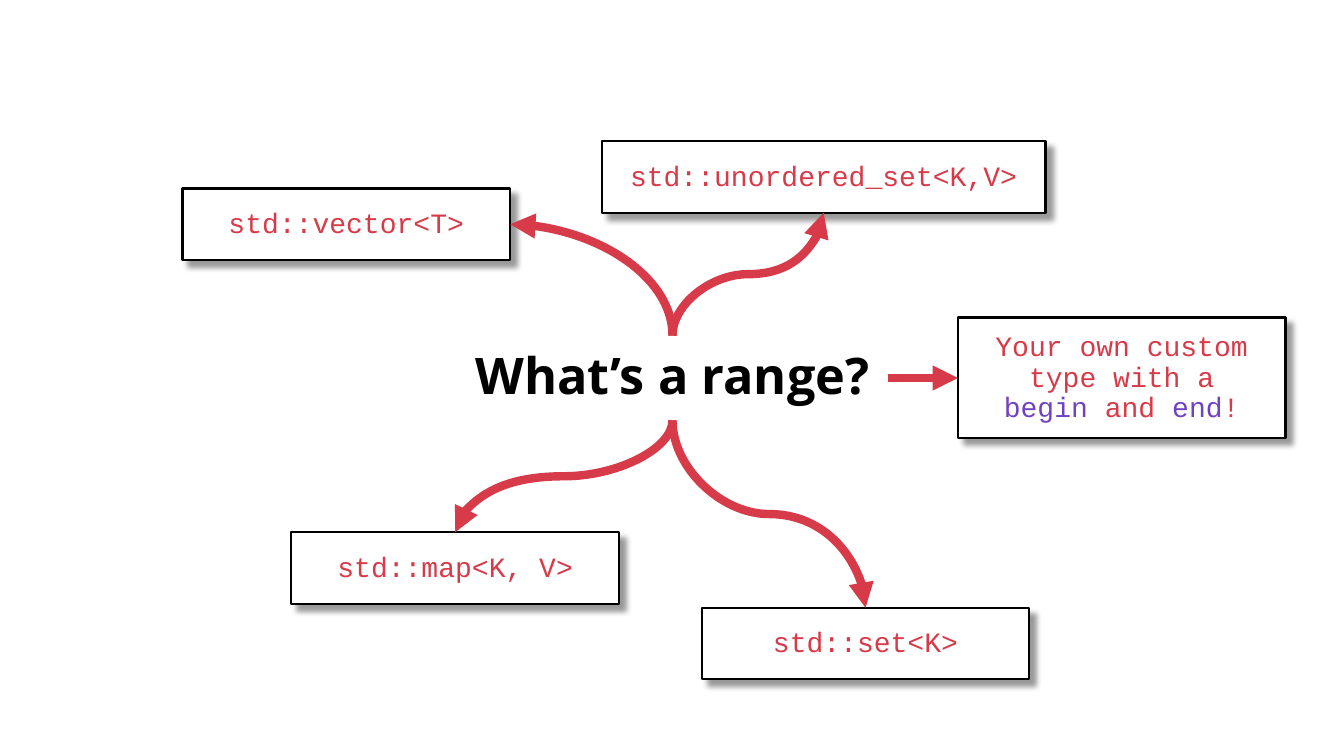
from lxml.etree import SubElement
from pptx import Presentation
from pptx.dml.color import RGBColor
from pptx.enum.shapes import MSO_CONNECTOR, MSO_SHAPE
from pptx.enum.text import MSO_ANCHOR, PP_ALIGN
from pptx.oxml import parse_xml
from pptx.oxml.ns import nsdecls, qn
from pptx.util import Pt

PX = 9144  # 100 px to the inch
BLACK = RGBColor(0x00, 0x00, 0x00)
WHITE = RGBColor(0xFF, 0xFF, 0xFF)
RED = RGBColor(0xD7, 0x3A, 0x48)
PURPLE = RGBColor(0x6F, 0x42, 0xC1)
TOP, LEFT, BOTTOM, RIGHT = range(4)

TITLE = "What’s a range?"
TITLE_BOX = (43, 333, 1248, 84)
# box, text runs, title side the arrow leaves, box side it reaches
TYPES = [
    ((181, 187, 325, 71), [("std::vector<T>", RED)], TOP, RIGHT),
    ((289, 528, 325, 71), [("std::map<K, V>", RED)], BOTTOM, TOP),
    ((696, 603, 325, 71), [("std::set<K>", RED)], BOTTOM, TOP),
    ((597, 140, 440, 71), [("std::unordered_set<K,V>", RED)], TOP, BOTTOM),
]
CUSTOM_BOX = (950, 315, 325, 120)
CUSTOM_RUNS = [("Your own custom type with a ", RED), ("begin", PURPLE),
               (" and ", RED), ("end", PURPLE), ("!", RED)]
CUSTOM_ARROW_X = 881

SHADOW = f"""<a:effectLst {nsdecls('a')}>
<a:outerShdw blurRad="{Pt(4)}" dist="{Pt(6)}" dir="2700000" algn="tl" rotWithShape="0">
<a:srgbClr val="{BLACK}"><a:alpha val="40000"/></a:srgbClr>
</a:outerShdw></a:effectLst>"""


def emu(*lengths):
    return [round(v * PX) for v in lengths]


def side_point(box, side):
    x, y, w, h = box
    return {TOP: (x + w / 2, y), LEFT: (x, y + h / 2),
            BOTTOM: (x + w / 2, y + h), RIGHT: (x + w, y + h / 2)}[side]


def write(sp, runs, font, size, bold=False):
    tf = sp.text_frame
    tf.word_wrap = True
    tf.vertical_anchor = MSO_ANCHOR.MIDDLE
    p = tf.paragraphs[0]
    p.alignment = PP_ALIGN.CENTER
    p.line_spacing = 0.9
    for text, color in runs:
        r = p.add_run()
        r.text = text
        r.font.name, r.font.size, r.font.bold = font, Pt(size), bold
        r.font.color.rgb = color


def add_box(box, runs):
    sp = s.shapes.add_shape(MSO_SHAPE.RECTANGLE, *emu(*box))
    sp.fill.solid()
    sp.fill.fore_color.rgb = WHITE
    sp.line.color.rgb = BLACK
    sp.line.width = Pt(1.5)
    sp.element.spPr.append(parse_xml(SHADOW))
    tf = sp.text_frame
    tf.margin_left = tf.margin_right = tf.margin_top = tf.margin_bottom = 25 * PX
    write(sp, runs, "Courier New", 20)
    return sp


def add_arrow(kind, start, end):
    cxn = s.shapes.add_connector(kind, *emu(*start, *end))
    cxn.line.color.rgb = RED
    cxn.line.width = Pt(6)
    SubElement(cxn.line._get_or_add_ln(), qn("a:tailEnd"), type="triangle")
    SubElement(cxn.element.spPr, qn("a:effectLst"))
    return cxn


def leave_vertically(cxn, start, end):
    """Turn a curved connector so that it starts up or down."""
    (x1, y1), (x2, y2) = start, end
    dx, dy = x2 - x1, y2 - y1
    w, h = abs(dy), abs(dx)
    cxn.left, cxn.top, cxn.width, cxn.height = emu(
        (x1 + x2 - w) / 2, (y1 + y2 - h) / 2, w, h)
    back = dx * dy > 0
    xfrm = cxn.element.spPr.find(qn("a:xfrm"))
    xfrm.set("rot", str((270 if back else 90) * 60000))
    xfrm.set("flipH", str(int((dy < 0) != back)))
    xfrm.set("flipV", str(int((dx > 0) != back)))


prs = Presentation()
prs.slide_width, prs.slide_height = emu(1333, 750)
s = prs.slides.add_slide(prs.slide_layouts[6])

# Title
title = s.shapes.add_textbox(*emu(*TITLE_BOX))
write(title, [(TITLE, BLACK)], "Open Sans", 36, bold=True)

# Standard types with curved arrows
for box, runs, out_side, in_side in TYPES:
    sp = add_box(box, runs)
    start, end = side_point(TITLE_BOX, out_side), side_point(box, in_side)
    cxn = add_arrow(MSO_CONNECTOR.CURVE, start, end)
    cxn.begin_connect(title, out_side)
    cxn.end_connect(sp, in_side)
    leave_vertically(cxn, start, end)
    if in_side in (LEFT, RIGHT):
        cxn.element.spPr.find(qn("a:prstGeom")).set("prst", "curvedConnector2")

# Custom type with a straight arrow
custom = add_box(CUSTOM_BOX, CUSTOM_RUNS)
end = side_point(CUSTOM_BOX, LEFT)
cxn = add_arrow(MSO_CONNECTOR.STRAIGHT, (CUSTOM_ARROW_X, end[1]), end)
cxn.end_connect(custom, LEFT)

prs.save("out.pptx")
